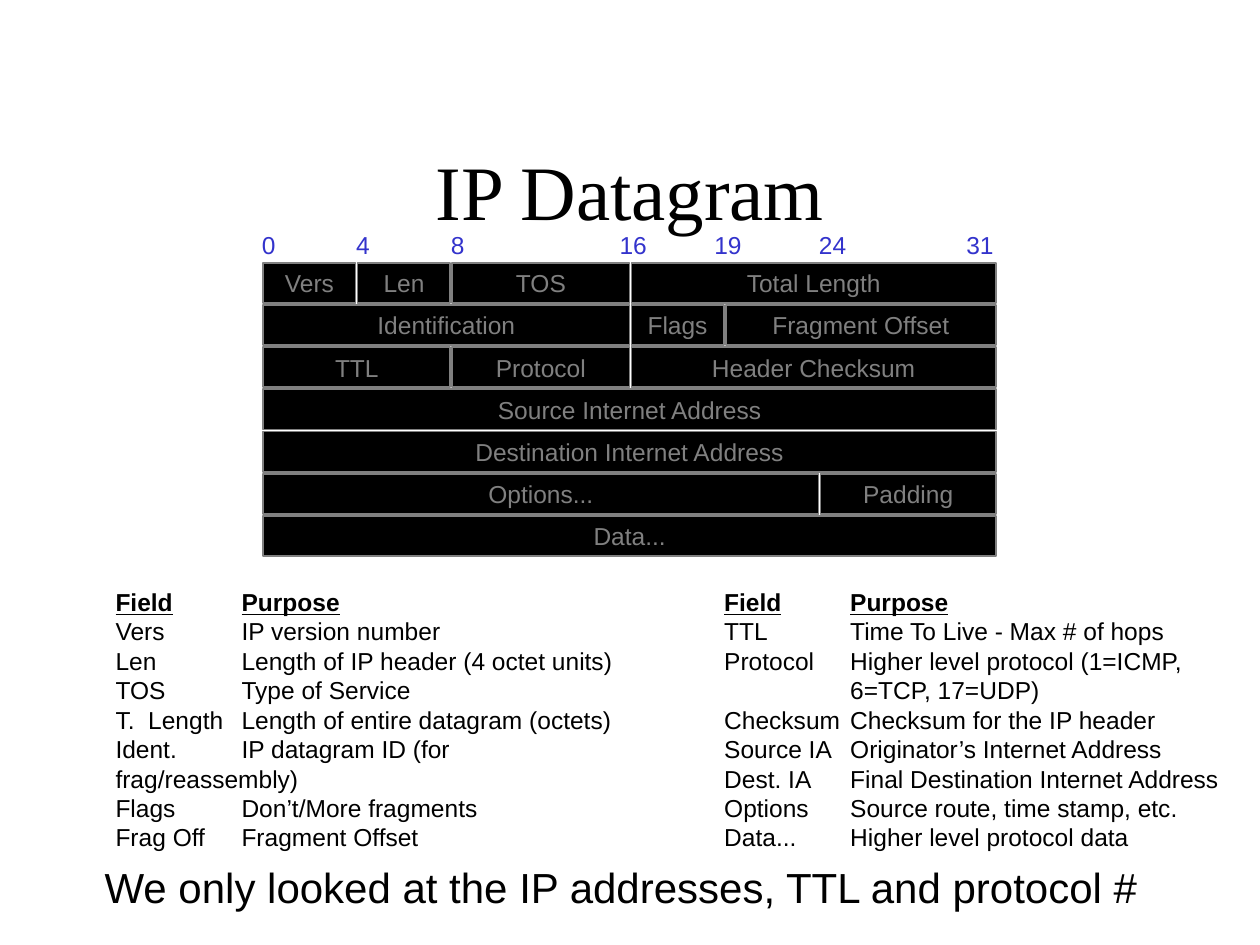
from pptx import Presentation
from pptx.dml.color import RGBColor
from pptx.enum.shapes import MSO_SHAPE as Shape
from pptx.enum.text import MSO_ANCHOR as Anchor, PP_ALIGN as Align
from pptx.oxml import parse_xml
from pptx.oxml.ns import nsdecls
from pptx.util import Cm, Pt

BLACK, GREY, BLUE = "000000", "808080", "3333CC"
EDGES = {0: 5.31, 4: 7.21, 8: 9.12, 16: 12.73, 19: 14.63, 24: 16.54, 32: 20.12}
BIT_LABELS = {0: 5.03, 4: 6.93, 8: 8.84, 16: 12.24, 19: 14.15, 24: 16.26, 31: 19.23}
ROW_TOP, ROW_PITCH, GAP = 5.3, 0.85, 0.04
HEADER_ROWS = [
    [("Vers", 0, 4), ("Len", 4, 8), ("TOS", 8, 16), ("Total Length", 16, 32)],
    [("Identification", 0, 16), ("Flags", 16, 19), ("Fragment Offset", 19, 32)],
    [("TTL", 0, 8), ("Protocol", 8, 16), ("Header Checksum", 16, 32)],
    [("Source Internet Address", 0, 32)],
    [("Destination Internet Address", 0, 32)],
    [("Options...", 0, 24), ("Padding", 24, 32)],
    [("Data...", 0, 32)],
]
LEFT_FIELDS = [
    ("Vers", "IP version number"),
    ("Len", "Length of IP header (4 octet units)"),
    ("TOS", "Type of Service"),
    ("T.  Length", "Length of entire datagram (octets)"),
    ("Ident.", "IP datagram ID (for frag/reassembly)"),
    ("Flags", "Don’t/More fragments"),
    ("Frag Off", "Fragment Offset"),
]
RIGHT_FIELDS = [
    ("TTL", "Time To Live - Max # of hops"),
    ("Protocol", "Higher level protocol (1=ICMP,"),
    ("", "6=TCP, 17=UDP)"),
    ("Checksum", "Checksum for the IP header"),
    ("Source IA", "Originator’s Internet Address"),
    ("Dest. IA", "Final Destination Internet Address"),
    ("Options", "Source route, time stamp, etc."),
    ("Data...", "Higher level protocol data"),
]


def rgb(value):
    """Turn a hex string into a colour."""
    return RGBColor.from_string(value)


class SlideBuilder:
    """Holds the text style and the current slide."""

    style = {"name": "Arial", "size": Pt(14), "bold": False, "underline": False}

    def __init__(self, slide):
        """Start building on a slide."""
        self.slide = slide

    def styled_run(self, paragraph, text, color, **changes):
        """Add a styled run to a paragraph."""
        run = paragraph.add_run()
        run.text = text
        for key, value in {**self.style, **changes}.items():
            setattr(run.font, key, value)
        run.font.color.rgb = rgb(color)

    def title(self, text, *box):
        """Place and fill the title placeholder."""
        title = self.slide.shapes.title
        for key, value in zip(("left", "top", "width", "height"), box):
            setattr(title, key, Cm(value))
        title.text_frame.vertical_anchor = Anchor.BOTTOM
        paragraph = title.text_frame.paragraphs[0]
        paragraph.alignment = Align.CENTER
        self.styled_run(paragraph, text, BLACK, name="Times New Roman", size=Pt(44))

    def field(self, text, *box):
        """Draw one header field."""
        shape = self.slide.shapes.add_shape(Shape.RECTANGLE, *map(Cm, box))
        shape.shadow.inherit = False
        shape.fill.solid()
        shape.fill.fore_color.rgb = rgb(BLACK)
        shape.line.color.rgb = rgb(GREY)
        shape.line.width = Pt(1)
        frame = shape.text_frame
        frame.word_wrap = False
        frame.vertical_anchor = Anchor.MIDDLE
        frame.paragraphs[0].alignment = Align.CENTER
        self.styled_run(frame.paragraphs[0], text, GREY)

    def text(self, text, color, *box, **changes):
        """Add a single line of text."""
        frame = self.slide.shapes.add_textbox(*map(Cm, box)).text_frame
        frame.word_wrap = False
        self.styled_run(frame.paragraphs[0], text, color, **changes)

    def glossary(self, rows, right_margin, *box):
        """Add a tabbed list of fields and purposes."""
        frame = self.slide.shapes.add_textbox(*map(Cm, box)).text_frame
        frame.word_wrap = True
        frame.margin_right = Cm(right_margin)
        for index, row in enumerate([("Field", "Purpose"), *rows]):
            heading = index == 0
            paragraph = frame.paragraphs[0] if heading else frame.add_paragraph()
            paragraph._p.get_or_add_pPr().append(parse_xml(
                f'<a:tabLst {nsdecls("a")}><a:tab pos="{Cm(2.54)}" algn="l"/></a:tabLst>'))
            self.styled_run(paragraph, "\t".join(row), BLACK, bold=heading, underline=heading)


def main():
    """Build and save the slide."""
    presentation = Presentation()
    presentation.slide_width, presentation.slide_height = Cm(25.4), Cm(19.05)
    builder = SlideBuilder(presentation.slides.add_slide(presentation.slide_layouts[5]))
    builder.title("IP Datagram", 1.9, 1.7, 21.6, 3.18)
    for index, row in enumerate(HEADER_ROWS):
        for name, start, end in row:
            builder.field(name, EDGES[start], ROW_TOP + index * ROW_PITCH,
                          EDGES[end] - EDGES[start] - GAP, ROW_PITCH - GAP)
    for bit, left in BIT_LABELS.items():
        builder.text(str(bit), BLUE, left, 4.52, 0.79 if bit < 10 else 1.07, 0.84)
    builder.glossary(LEFT_FIELDS, 0.5, 2.08, 11.71, 11.07, 5.56)
    builder.glossary(RIGHT_FIELDS, 0, 14.35, 11.71, 10.49, 6.17)
    builder.text("We only looked at the IP addresses, TTL and protocol #", BLACK,
                 1.86, 17.25, 21.64, 1.27, size=Pt(24))
    presentation.save("out.pptx")


if __name__ == "__main__":
    main()
